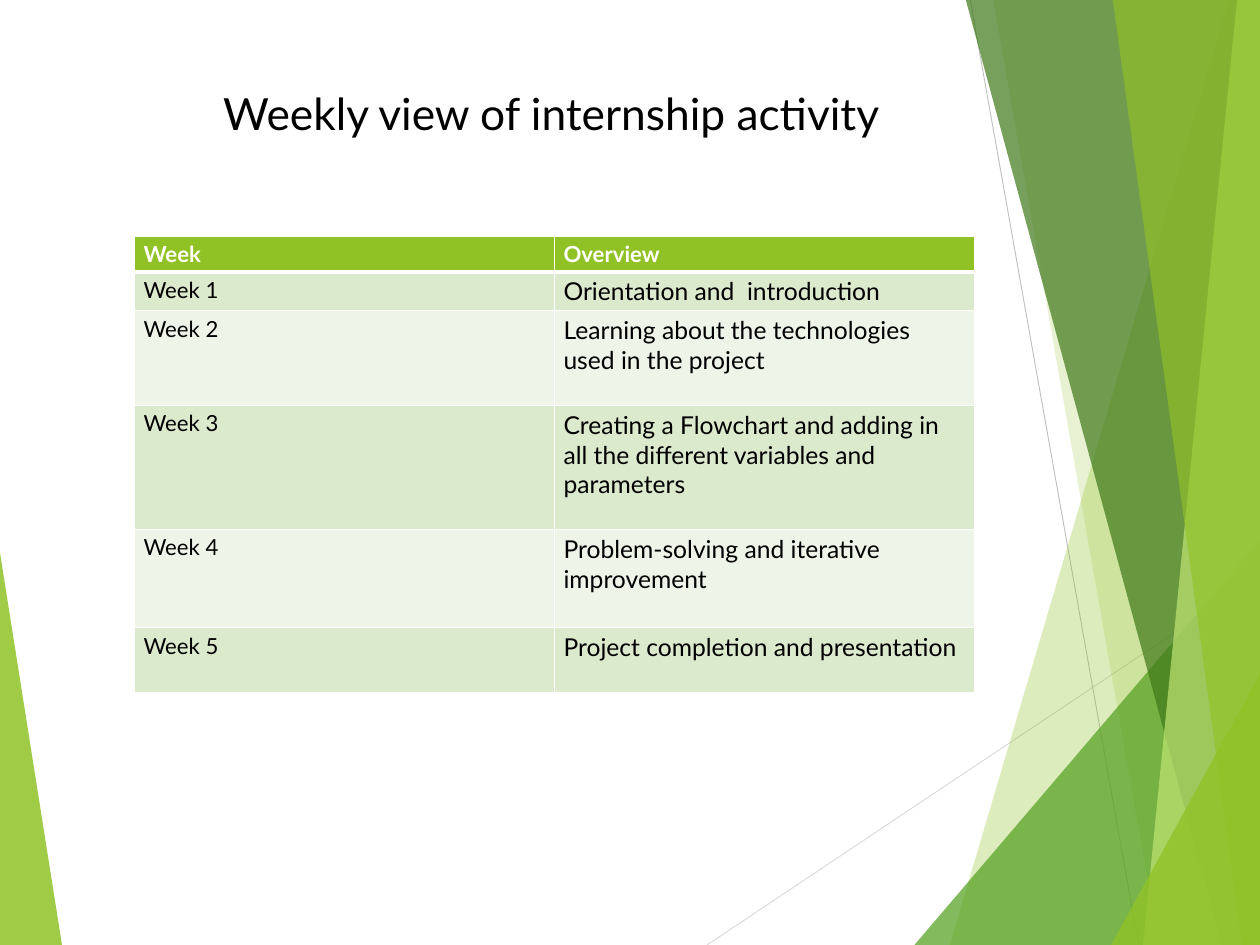
from lxml import etree
from pptx import Presentation
from pptx.dml.color import RGBColor
from pptx.enum import shapes, text
from pptx.oxml import ns
from pptx.util import Inches, Pt

WIDTH, HEIGHT = 14.22, 10.67
FONT = "Lato"
COLORS = {
    "lime": "90C226", "green": "54A021", "forest": "3F7819", "pale": "C0E474",
    "near_line": "D9D9D9", "far_line": "BFBFBF",
    "band_dark": "DBE9CD", "band_light": "EEF4E8",
    "white": "FFFFFF", "black": "000000",
}
HEADINGS = ("Week", "Overview")
OVERVIEWS = [
    "Orientation and  introduction",
    "Learning about the technologies used in the project",
    "Creating a Flowchart and adding in all the different variables and parameters",
    "Problem-solving and iterative improvement",
    "Project completion and presentation",
]
ROW_HEIGHTS = [0.4, 0.44, 1.07, 1.4, 1.11, 0.73]


def rgb(name):
    return RGBColor.from_string(COLORS[name])


def write(paragraph, words, size, color, bold=False):
    run = paragraph.add_run()
    run.text = words
    run.font.color.rgb = rgb(color)
    for attribute, value in {"name": FONT, "size": Pt(size), "bold": bold}.items():
        setattr(run.font, attribute, value)


def add_facet(slide, points, color, opacity):
    """Draw a borderless polygon; opacity is in percent."""
    builder = slide.shapes.build_freeform(
        *(Inches(value) for value in points[0]), scale=1.0)
    builder.add_line_segments([(Inches(x), Inches(y)) for x, y in points[1:]])
    facet = builder.convert_to_shape()
    facet.shadow.inherit = False
    facet.fill.solid()
    facet.fill.fore_color.rgb = rgb(color)
    facet.line.fill.background()
    tint = facet._element.spPr.find(".//" + ns.qn("a:srgbClr"))
    etree.SubElement(tint, ns.qn("a:alpha"), val=str(opacity * 1000))


def add_hairline(slide, start, end, color):
    hairline = slide.shapes.add_connector(
        shapes.MSO_CONNECTOR.STRAIGHT, *(Inches(value) for value in start + end))
    hairline.line.color.rgb = rgb(color)
    hairline.line.width = Pt(0.75)
    etree.SubElement(hairline._element.spPr, ns.qn("a:effectLst"))


def add_backdrop(slide, width, height):
    def ray(top, bottom):
        return [(top, 0), (bottom, height), (width, height), (width, 0)]

    def corner(left, top):
        return [(left, height), (width, top), (width, height)]

    add_facet(slide, [(0, 6.24), (0.7, height), (0, height)], "lime", 85)
    add_hairline(slide, (7.98, height), (width, 6.5), "near_line")
    add_hairline(slide, (10.95, 0), (12.85, height), "far_line")
    for points, color, opacity in [
        (ray(13.87, 10.72), "lime", 30),
        (ray(11.21, 13.08), "lime", 20),
        (corner(10.32, 6.1), "green", 72),
        (ray(10.9, 13.79), "forest", 70),
        (ray(13.96, 12.9), "pale", 70),
        (ray(12.56, 14.02), "lime", 65),
        (corner(12.54, 7.61), "lime", 80),
    ]:
        add_facet(slide, points, color, opacity)


def add_title(slide, left, top, width, height):
    title = slide.shapes.add_textbox(*map(Inches, (left, top, width, height)))
    title.text_frame.word_wrap = True
    title.text_frame.auto_size = text.MSO_AUTO_SIZE.SHAPE_TO_FIT_TEXT
    write(title.text_frame.paragraphs[0], "Weekly view of internship activity", 36, "black")


def set_borders(cell, widths):
    """Put white edges, given in points by tag, ahead of the cell's fill."""
    properties = cell._tc.get_or_add_tcPr()
    for position, (tag, points) in enumerate(widths.items()):
        edge = etree.Element(ns.qn("a:" + tag), w=str(Pt(points)))
        fill = etree.SubElement(edge, ns.qn("a:solidFill"))
        etree.SubElement(fill, ns.qn("a:srgbClr"), val=COLORS["white"])
        properties.insert(position, edge)


def add_schedule(slide, left, top, width):
    entries = [HEADINGS] + [
        (f"Week {number}", overview) for number, overview in enumerate(OVERVIEWS, 1)]
    schedule = slide.shapes.add_table(
        len(entries), len(HEADINGS),
        *map(Inches, (left, top, width, sum(ROW_HEIGHTS)))).table
    for column in schedule.columns:
        column.width = Inches(width / len(HEADINGS))
    for r, (entry, row_height) in enumerate(zip(entries, ROW_HEIGHTS)):
        schedule.rows[r].height = Inches(row_height)
        heading = r == 0
        band = "lime" if heading else "band_dark" if r % 2 else "band_light"
        for c, words in enumerate(entry):
            cell = schedule.cell(r, c)
            cell.fill.solid()
            cell.fill.fore_color.rgb = rgb(band)
            set_borders(cell, {"lnL": 1, "lnR": 1, "lnT": 3 if r == 1 else 1,
                               "lnB": 3 if heading else 1})
            write(cell.text_frame.paragraphs[0], words,
                  18 if heading or c == 0 else 20,
                  "white" if heading else "black", heading)


def main():
    deck = Presentation()
    deck.slide_width, deck.slide_height = Inches(WIDTH), Inches(HEIGHT)
    slide = deck.slides.add_slide(deck.slide_layouts[6])
    add_backdrop(slide, WIDTH, HEIGHT)
    add_schedule(slide, 1.52, 2.67, 9.48)
    add_title(slide, 2.42, 0.92, 8.85, 1.01)
    deck.save("out.pptx")


if __name__ == "__main__":
    main()
